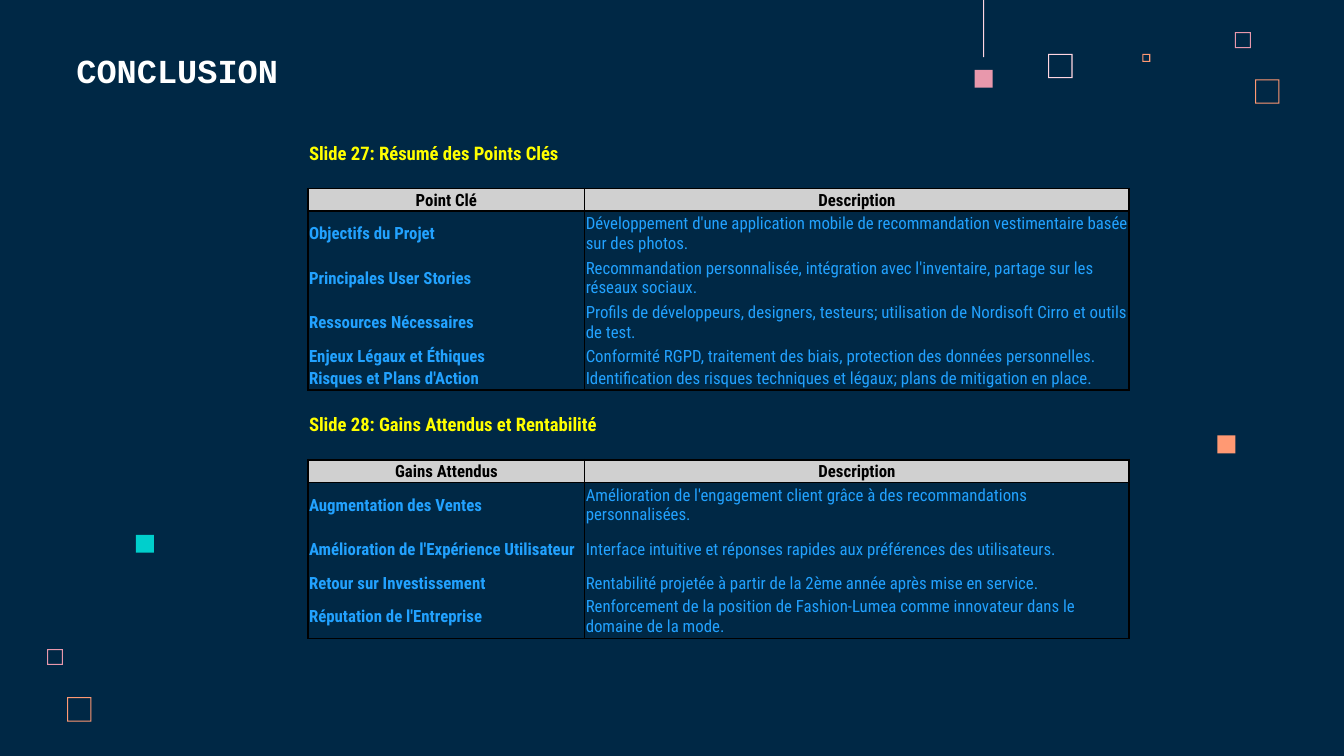
from lxml.etree import SubElement
from pptx import Presentation
from pptx.dml.color import RGBColor
from pptx.enum.shapes import MSO_SHAPE
from pptx.enum.text import MSO_ANCHOR, MSO_AUTO_SIZE, PP_ALIGN
from pptx.oxml.ns import qn
from pptx.util import Cm, Pt

# Content: each body row is (point, description, height in lines)
SECTIONS = [
    ("Slide 27: Résumé des Points Clés", ("Point Clé", "Description"), [
        ("Objectifs du Projet", "Développement d'une application mobile de recommandation "
         "vestimentaire basée sur des photos.", 2),
        ("Principales User Stories", "Recommandation personnalisée, intégration avec "
         "l'inventaire, partage sur les réseaux sociaux.", 2),
        ("Ressources Nécessaires", "Profils de développeurs, designers, testeurs; "
         "utilisation de Nordisoft Cirro et outils de test.", 2),
        ("Enjeux Légaux et Éthiques", "Conformité RGPD, traitement des biais, "
         "protection des données personnelles.", 1),
        ("Risques et Plans d'Action", "Identification des risques techniques et légaux; "
         "plans de mitigation en place.", 1),
    ]),
    ("Slide 28: Gains Attendus et Rentabilité", ("Gains Attendus", "Description"), [
        ("Augmentation des Ventes", "Amélioration de l'engagement client grâce à des "
         "recommandations personnalisées.", 2),
        ("Amélioration de l'Expérience Utilisateur", "Interface intuitive et réponses "
         "rapides aux préférences des utilisateurs.", 2),
        ("Retour sur Investissement", "Rentabilité projetée à partir de la 2ème année "
         "après mise en service.", 1),
        ("Réputation de l'Entreprise", "Renforcement de la position de Fashion-Lumea "
         "comme innovateur dans le domaine de la mode.", 2),
    ]),
]

NAVY, WHITE, BLACK, GREY = "002845", "FFFFFF", "000000", "D0D0D0"
YELLOW, BLUE = "FFFF00", "22A2FF"
PINK, PALE, ORANGE, TEAL = "E898AC", "FFD6E1", "FF9973", "00CFCC"

# Decorations in cm: left, top, (size or width and height), colour
FRAMES = [
    (19.81, 1.02, 0.46, PALE), (23.34, 0.61, 0.3, PINK), (21.59, 1.02, 0.15, ORANGE),
    (23.72, 1.5, 0.46, ORANGE), (0.89, 12.27, 0.3, PINK), (1.27, 13.18, 0.46, ORANGE),
]
BLOCKS = [
    (18.42, 1.32, 0.34, 0.34, PINK), (18.58, 0, 0.02, 1.08, PALE),
    (2.57, 10.11, 0.34, 0.34, TEAL), (23.01, 8.23, 0.34, 0.34, ORANGE),
]
FRAME_LINE = 0.02

TABLE_LEFT, TABLE_TOP = 5.82, 2.67
COLUMNS = (5.23, 10.29)
HEADING_HEIGHT = 0.46
LINE_HEIGHTS = {1: 0.43, 2: 0.84}
NO_STYLE = "{2D5ABB26-0587-4C30-8999-92F81FD0307C}"


def rgb(colour):
    return RGBColor.from_string(colour)


def set_font(font, name, size, colour, bold):
    font.name, font.size, font.bold = name, Pt(size), bold
    font.color.rgb = rgb(colour)


def add_decoration(slide, preset, left, top, width, height, colour):
    decoration = slide.shapes.add_shape(preset, Cm(left), Cm(top), Cm(width), Cm(height))
    decoration.shadow.inherit = False
    decoration.fill.solid()
    decoration.fill.fore_color.rgb = rgb(colour)
    decoration.line.fill.background()
    return decoration


def add_borders(cell, sides):
    properties = cell._tc.get_or_add_tcPr()
    for side in "LRTB":
        if side in sides:
            border = SubElement(properties, qn(f"a:ln{side}"), w=str(Pt(1)))
            fill = SubElement(border, qn("a:solidFill"))
            SubElement(fill, qn("a:srgbClr"), val=BLACK)


def format_cell(cell, text, size=9, colour=BLUE, bold=False, align=PP_ALIGN.LEFT,
                sides="", fill=None):
    cell.margin_left = cell.margin_right = cell.margin_top = Cm(0.02)
    cell.margin_bottom = 0
    cell.vertical_anchor = MSO_ANCHOR.MIDDLE
    add_borders(cell, sides)
    if fill:
        cell.fill.solid()
        cell.fill.fore_color.rgb = rgb(fill)
    else:
        cell.fill.background()
    paragraph = cell.text_frame.paragraphs[0]
    paragraph.alignment = align
    set_font(paragraph.font, "Roboto Condensed", size, colour, bold)
    if text:
        paragraph.add_run().text = text
    else:
        SubElement(paragraph._p, qn("a:endParaRPr"), sz=str(size * 100))


def table_rows():
    """Yield (kind, texts, height) for every row of the table."""
    for index, (heading, labels, points) in enumerate(SECTIONS):
        if index:
            yield "gap", ("", ""), LINE_HEIGHTS[1]
        yield "heading", (heading, ""), HEADING_HEIGHT
        yield "gap", ("", ""), LINE_HEIGHTS[1]
        yield "labels", labels, LINE_HEIGHTS[1]
        for number, (point, description, lines) in enumerate(points, 1):
            kind = "last" if number == len(points) else "body"
            yield kind, (point, description), LINE_HEIGHTS[lines]


ROW_FORMATS = {
    "gap": {},
    "heading": dict(size=10, colour=YELLOW, bold=True),
    "labels": dict(colour=BLACK, bold=True, align=PP_ALIGN.CENTER, sides="LRTB", fill=GREY),
    "body": dict(sides="LR"),
    "last": dict(sides="LRB"),
}


def add_summary(slide):
    rows = list(table_rows())
    height = sum(row[2] for row in rows)
    summary = slide.shapes.add_table(len(rows), len(COLUMNS), Cm(TABLE_LEFT), Cm(TABLE_TOP),
                                     Cm(sum(COLUMNS)), Cm(height)).table
    summary.first_row = summary.horz_banding = False
    summary._tbl.tblPr.find(qn("a:tableStyleId")).text = NO_STYLE
    for column, width in zip(summary.columns, COLUMNS):
        column.width = Cm(width)
    for r, (kind, texts, row_height) in enumerate(rows):
        summary.rows[r].height = Cm(row_height)
        for c, text in enumerate(texts):
            options = dict(ROW_FORMATS[kind])
            options.setdefault("bold", c == 0)
            format_cell(summary.cell(r, c), text, **options)
        if kind == "heading":
            summary.cell(r, 0).merge(summary.cell(r, 1))


def main():
    deck = Presentation()
    deck.slide_width, deck.slide_height = Cm(25.4), Cm(14.29)
    slide = deck.slides.add_slide(deck.slide_layouts[5])
    slide.background.fill.solid()
    slide.background.fill.fore_color.rgb = rgb(NAVY)

    # Decorations
    for left, top, size, colour in FRAMES:
        frame = add_decoration(slide, MSO_SHAPE.FRAME, left, top, size, size, colour)
        frame.adjustments[0] = FRAME_LINE / size
    for block in BLOCKS:
        add_decoration(slide, MSO_SHAPE.RECTANGLE, *block)

    # Title
    title = slide.shapes.title
    title.left, title.top, title.width, title.height = Cm(1.19), Cm(0.36), Cm(17.09), Cm(1.6)
    title.text_frame.text = "CONCLUSION"
    title.text_frame.vertical_anchor = MSO_ANCHOR.BOTTOM
    title.text_frame.auto_size = MSO_AUTO_SIZE.NONE
    title.text_frame.margin_top = title.text_frame.margin_bottom = Cm(0.25)
    heading = title.text_frame.paragraphs[0]
    heading.alignment = PP_ALIGN.LEFT
    set_font(heading.font, "Courier New", 18, WHITE, True)

    # Summary table
    add_summary(slide)
    deck.save("out.pptx")


if __name__ == "__main__":
    main()
